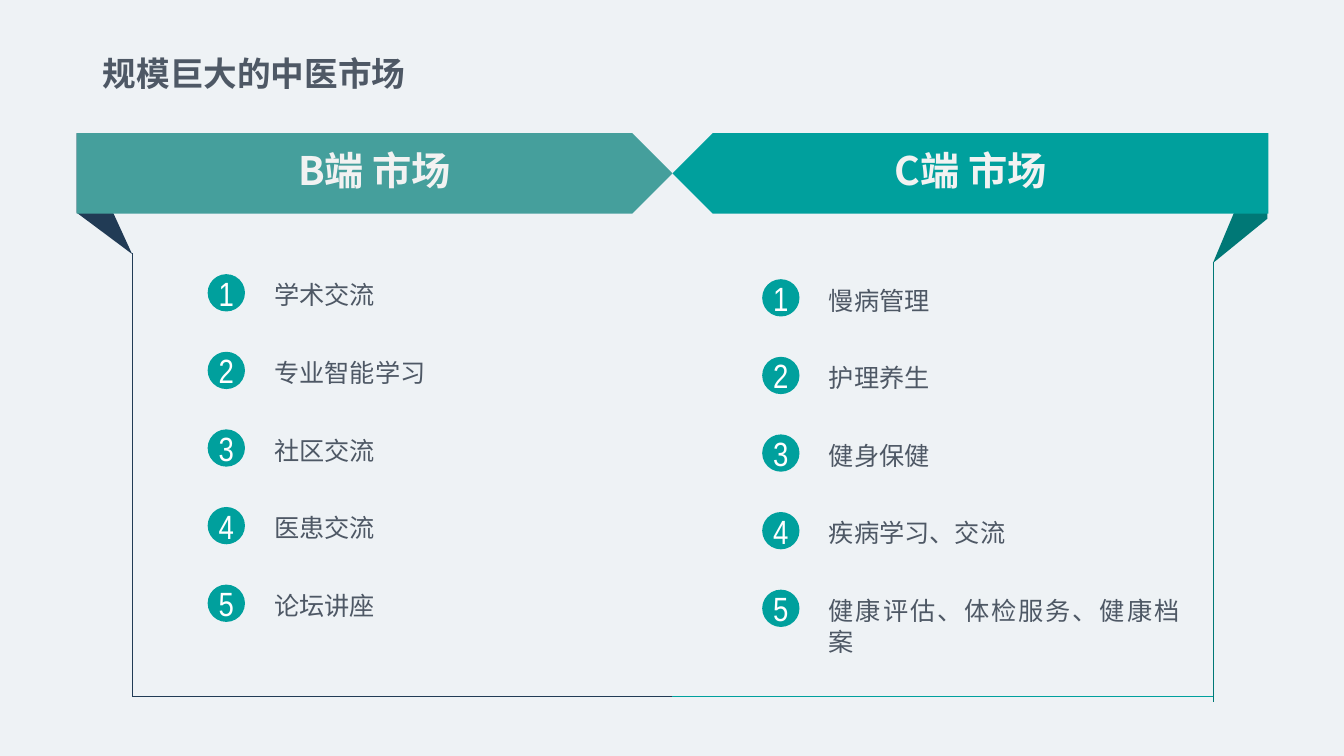
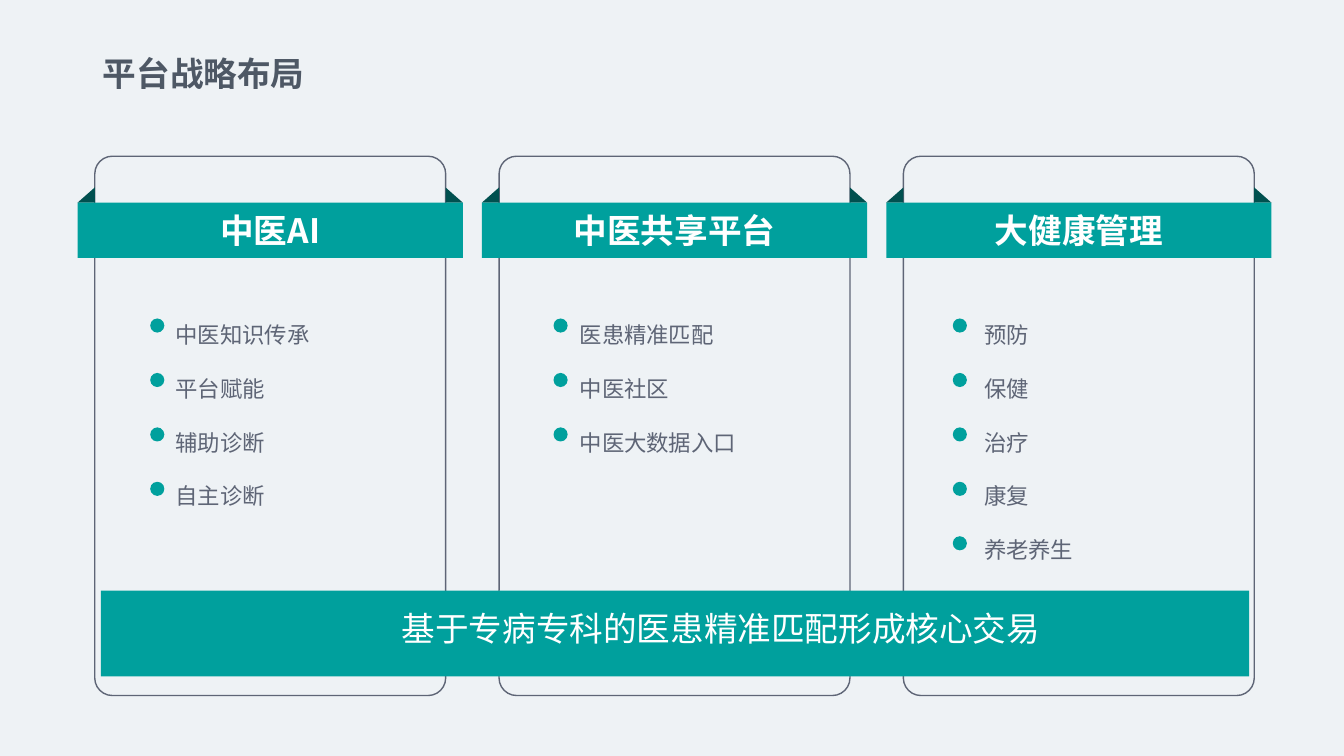
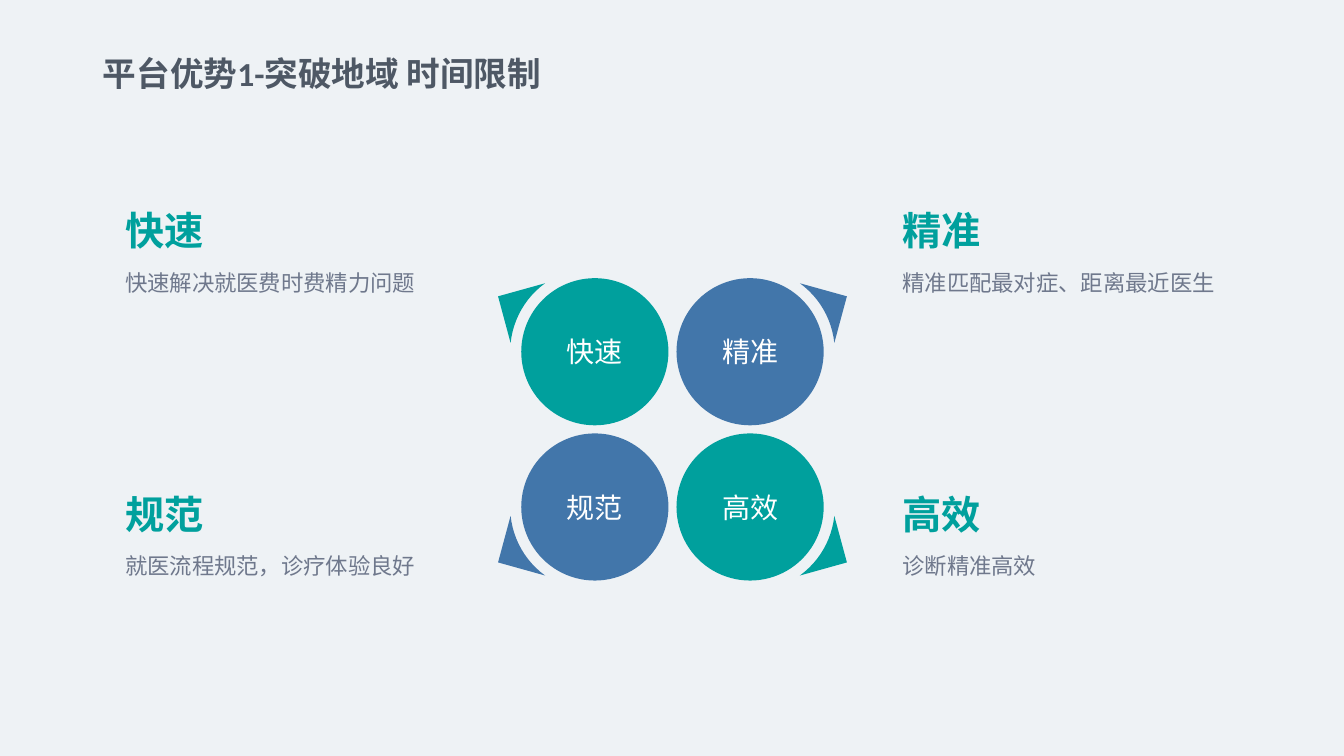
"""Builds three slides on the traditional medicine market, strategy and advantages."""
import math

from lxml import etree
from pptx import Presentation
from pptx import util as u
from pptx.dml.color import RGBColor
from pptx.enum import shapes, text
from pptx.oxml import ns

COLORS = {
    "background": "EEF2F5", "title": "4E5865", "teal": "00A09D",
    "soft_teal": "459F9C", "deep_teal": "007876", "fold": "00504F",
    "navy": "213B55", "blue": "4276AA", "outline": "5E6576",
    "detail": "6F788C", "banner_text": "F2F2F2", "white": "FFFFFF",
}
CJK_FONT = "Noto Sans CJK SC"
LEFT, CENTER, JUSTIFY = text.PP_ALIGN.LEFT, text.PP_ALIGN.CENTER, text.PP_ALIGN.JUSTIFY
TOP, MIDDLE = text.MSO_ANCHOR.TOP, text.MSO_ANCHOR.MIDDLE
SHAPE = shapes.MSO_SHAPE


def rgb(name):
    return RGBColor.from_string(COLORS[name])


def inches(*lengths):
    return [u.Inches(length) for length in lengths]


def write(holder, lines, size, color, align=CENTER, bold=False, spacing=None,
          anchor=TOP, inset=0, font=CJK_FONT):
    frame = holder.text_frame
    frame.word_wrap = True
    frame.auto_size = text.MSO_AUTO_SIZE.NONE
    frame.vertical_anchor = anchor
    frame.margin_left = frame.margin_right = u.Inches(inset)
    frame.margin_top = frame.margin_bottom = u.Inches(inset / 2)
    frame.text = "\n".join(lines)
    for paragraph in frame.paragraphs:
        paragraph.alignment = align
        paragraph.line_spacing = spacing
        paragraph.font.name = font
        paragraph.font.size = u.Pt(size)
        paragraph.font.bold = bold
        paragraph.font.color.rgb = rgb(color)
        defaults = paragraph._p.pPr.find(ns.qn("a:defRPr"))
        etree.SubElement(defaults, ns.qn("a:ea"), typeface=CJK_FONT)


def label(slide, box, lines, size, color, **style):
    write(slide.shapes.add_textbox(*inches(*box)), lines, size, color, **style)


def paint(shape, fill):
    shape.shadow.inherit = False
    shape.fill.solid()
    shape.fill.fore_color.rgb = rgb(fill)
    shape.line.fill.background()
    return shape


def block(slide, kind, box, fill):
    return paint(slide.shapes.add_shape(kind, *inches(*box)), fill)


def polygon(slide, points, fill):
    corners = [tuple(inches(*point)) for point in points]
    builder = slide.shapes.build_freeform(*corners[0], scale=1.0)
    builder.add_line_segments(corners[1:], close=True)
    return paint(builder.convert_to_shape(), fill)


def rule(slide, start, end, color):
    line = slide.shapes.add_connector(
        shapes.MSO_CONNECTOR.STRAIGHT, *inches(*start, *end))
    line.line.color.rgb = rgb(color)
    line.line.width = u.Pt(0.5)
    etree.SubElement(line._element.spPr, ns.qn("a:effectLst"))


def titled_slide(deck, heading):
    slide = deck.slides.add_slide(deck.slide_layouts[5])
    title = slide.shapes.title
    title.left, title.top, title.width, title.height = inches(0.92, 0.47, 4.59, 0.5)
    write(title, [heading], 24, "title", align=LEFT, bold=True, inset=0.1, font="Calibri")
    return slide


def market_banner(slide, left, caption, fill, rotation):
    top, width, height = 1.32, 5.91, 0.8
    ribbon = block(slide, SHAPE.PENTAGON, (left, top, width, height), fill)
    ribbon.rotation = rotation
    label(slide, (left, top + 0.08, width, 0.57), [caption], 28, "banner_text",
          bold=True, inset=0.1)


def numbered_list(slide, left, top, items):
    pitch, diameter = 0.77, 0.37
    for index, item in enumerate(items):
        y = top + index * pitch
        badge = block(slide, SHAPE.OVAL, (left, y, diameter, diameter), "teal")
        write(badge, [str(index + 1)], 24, "white", anchor=MIDDLE, font="Arial Narrow")
        badge.text_frame.word_wrap = False
        label(slide, (left + 0.66, y + 0.05, 3.48, 0.29), [item], 18, "title",
              align=JUSTIFY, spacing=u.Pt(22))


def market_slide(deck):
    slide = titled_slide(deck, "规模巨大的中医市场")
    left, right, middle, base = 1.31, 12.03, 6.67, 6.91
    polygon(slide, [(12.57, 1.32), (right, 2.61), (12.57, 2.17)], "deep_teal")
    rule(slide, (right, 2.6), (right, 6.96), "deep_teal")
    polygon(slide, [(0.76, 1.32), (left, 2.52), (0.76, 2.11)], "navy")
    rule(slide, (left, 2.51), (left, base), "navy")
    market_banner(slide, 0.76, "B端 市场", "soft_teal", 0)
    market_banner(slide, middle, "C端 市场", "teal", 180)
    rule(slide, (middle, base), (right, base), "teal")
    rule(slide, (left, base), (middle, base), "navy")
    numbered_list(slide, 2.06, 2.72,
                  ["学术交流", "专业智能学习", "社区交流", "医患交流", "论坛讲座"])
    numbered_list(slide, 7.56, 2.77,
                  ["慢病管理", "护理养生", "健身保健", "疾病学习、交流",
                   "健康评估、体检服务、健康档案"])


def strategy_card(slide, left, top, caption, items, dot_indent):
    width, height, overhang = 3.48, 5.35, 0.17
    right, band_top = left + width, top + 0.46
    card = slide.shapes.add_shape(
        SHAPE.ROUNDED_RECTANGLE, *inches(left, top, width, height))
    card.shadow.inherit = False
    card.adjustments[0] = 0.05
    card.fill.background()
    card.line.color.rgb = rgb("outline")
    card.line.width = u.Pt(1)
    for edge, outward in ((left, -overhang), (right, overhang)):
        polygon(slide, [(edge, band_top - 0.15), (edge, band_top),
                        (edge + outward, band_top)], "fold")
    band = block(slide, SHAPE.RECTANGLE,
                 (left - overhang, band_top, width + 2 * overhang, 0.55), "teal")
    write(band, [caption], 24, "white", bold=True, anchor=MIDDLE)
    label(slide, (left + 0.8, top + 1.37, 1.93, 0.54 * len(items)), items, 16,
          "outline", align=JUSTIFY, spacing=2.0)
    for index in range(len(items)):
        block(slide, SHAPE.OVAL,
              (left + dot_indent, top + 1.61 + 0.54 * index, 0.14, 0.14), "teal")


def strategy_slide(deck):
    slide = titled_slide(deck, "平台战略布局")
    cards = [
        ("中医AI", ["中医知识传承", "平台赋能", "辅助诊断", "自主诊断"], 0.55),
        ("中医共享平台", ["医患精准匹配", "中医社区", "中医大数据入口"], 0.54),
        ("大健康管理", ["预防", "保健", "治疗", "康复", "养老养生"], 0.49),
    ]
    for index, (caption, items, dot_indent) in enumerate(cards):
        strategy_card(slide, 0.94 + 4.01 * index, 1.55, caption, items, dot_indent)
    block(slide, SHAPE.RECTANGLE, (1, 5.86, 11.39, 0.85), "teal")
    label(slide, (3.81, 6.08, 6.68, 0.35), ["基于专病专科的医患精准匹配形成核心交易"],
          24, "white", spacing=u.Pt(25.2))


def petal(slide, center_x, center_y, side_x, side_y, caption, color):
    radius, arc_radius = 0.73, 0.84
    angles = [math.radians(54 - 4 * step) for step in range(13)]
    outline = [(0.96, 0.55)] + [
        (arc_radius * math.cos(angle), arc_radius * math.sin(angle)) for angle in angles]
    polygon(slide, [(center_x + side_x * x, center_y + side_y * y) for x, y in outline],
            color)
    disc = block(slide, SHAPE.OVAL,
                 (center_x - radius, center_y - radius, 2 * radius, 2 * radius), color)
    write(disc, [caption], 20, "white", anchor=MIDDLE)


def advantage_note(slide, left, top, heading, detail):
    label(slide, (left, top + 0.68, 3.62, 0.21), [detail], 16, "detail",
          align=JUSTIFY, spacing=u.Pt(15))
    label(slide, (left, top, 2.04, 0.47), [heading], 28, "teal", align=LEFT, bold=True)


def advantage_slide(deck):
    slide = titled_slide(deck, "平台优势1-突破地域 时间限制")
    advantages = [
        (-1, -1, "快速", "快速解决就医费时费精力问题", "teal"),
        (1, -1, "精准", "精准匹配最对症、距离最近医生", "blue"),
        (-1, 1, "规范", "就医流程规范，诊疗体验良好", "blue"),
        (1, 1, "高效", "诊断精准高效", "teal"),
    ]
    note_left, note_top = {-1: 1.24, 1: 8.95}, {-1: 2.05, 1: 4.86}
    for side_x, side_y, heading, detail, color in advantages:
        petal(slide, 6.67 + 0.77 * side_x, 4.26 + 0.77 * side_y, side_x, side_y,
              heading, color)
        advantage_note(slide, note_left[side_x], note_top[side_y], heading, detail)


def main():
    deck = Presentation()
    deck.slide_width, deck.slide_height = inches(13.33, 7.5)
    backdrop = deck.slide_master.background.fill
    backdrop.solid()
    backdrop.fore_color.rgb = rgb("background")
    market_slide(deck)
    strategy_slide(deck)
    advantage_slide(deck)
    deck.save("out.pptx")


if __name__ == "__main__":
    main()
